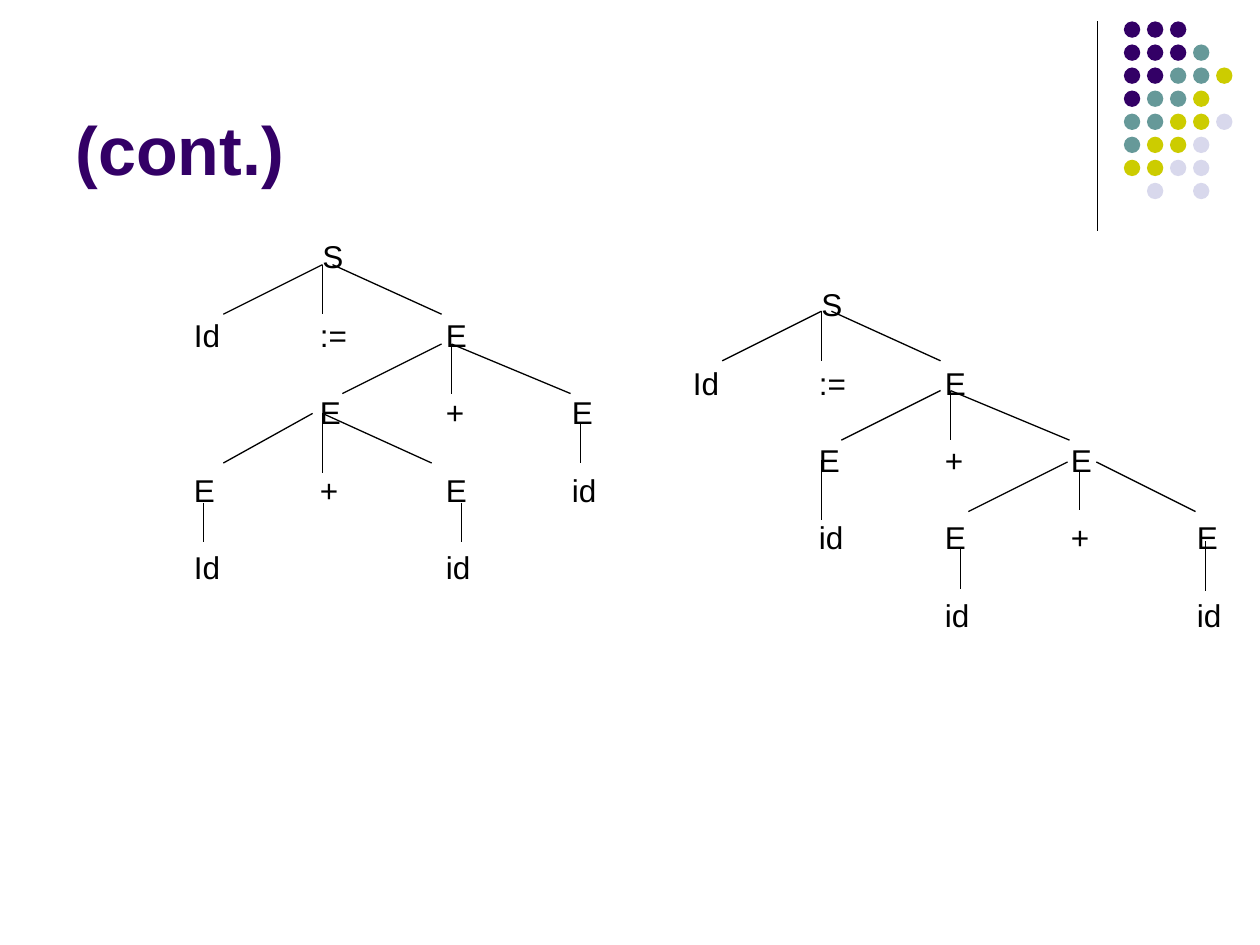
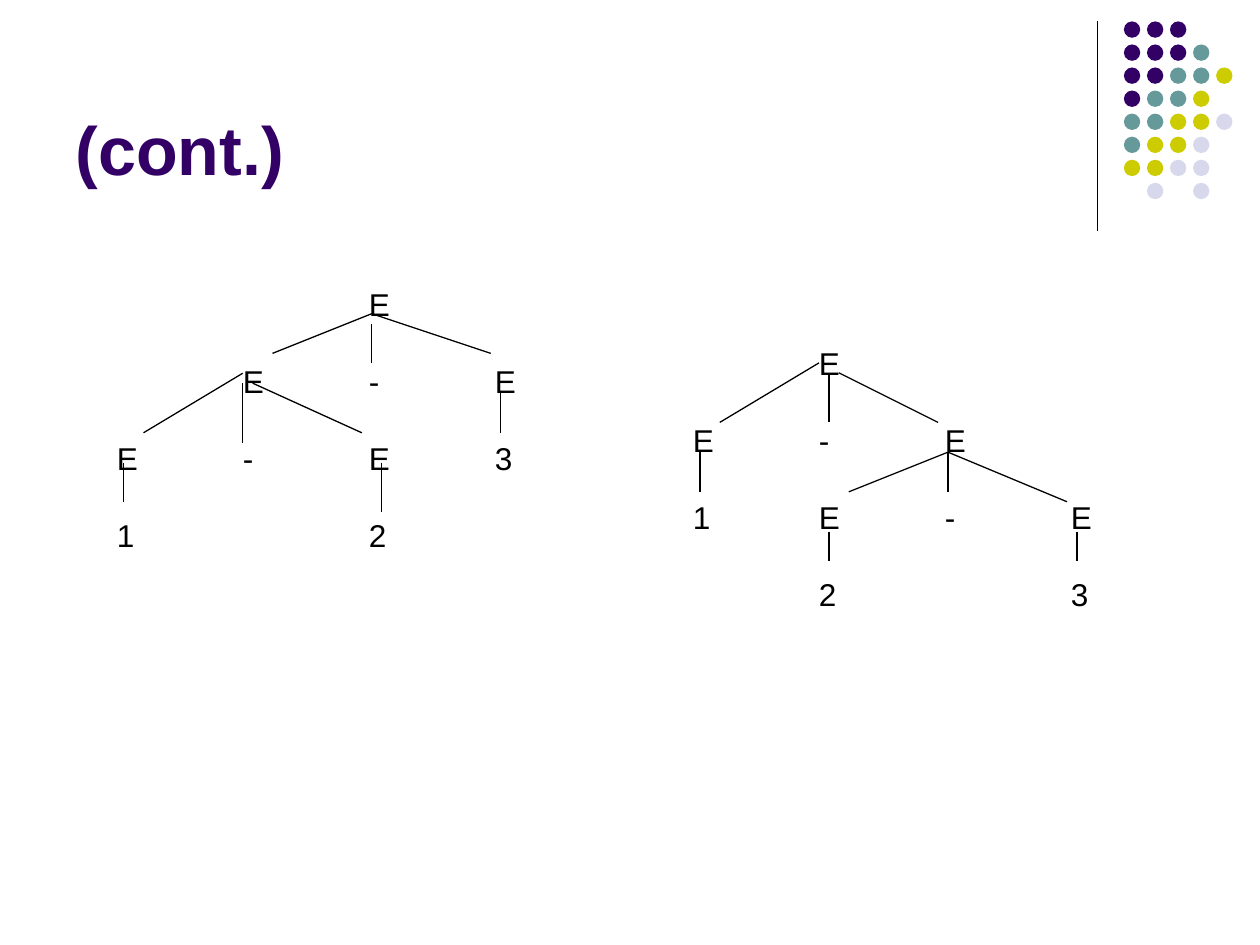
from lxml.etree import SubElement
from pptx import Presentation
from pptx.dml.color import RGBColor
from pptx.enum.shapes import MSO_CONNECTOR, MSO_SHAPE
from pptx.enum.text import MSO_ANCHOR, MSO_AUTO_SIZE, PP_ALIGN
from pptx.oxml.ns import qn
from pptx.util import Inches, Pt

# Shared look
FONT = "Arial"
BLACK = "000000"
PURPLE = "330066"
DOT_COLOURS = {"P": PURPLE, "T": "669999", "Y": "CCCC00", "L": "D8D8EC"}
DOT_ROWS = ["PPP", "PPPT", "PPTTY", "PTTY", "TTYYL", "TYYL", "YYLL", " L L"]
DOT_SIZE, DOT_PITCH = Inches(0.13), Inches(0.183)

# The slide is 127 steps wide; tree branches lie on this grid
SLIDE_WIDTH, SLIDE_HEIGHT = Inches(10), Inches(7.5)
STEP = SLIDE_WIDTH / 127
TAB_COLUMN = SLIDE_WIDTH // 10
ROW_GAP = 22.5

# Branches: (start, [ends]) in steps from the tree's root
ASSIGNMENT_BRANCHES = [
    ((0, 0), [(-10, 5), (0, 5)]),
    ((1, 0), [(12, 5)]),
    ((12, 8), [(2, 13)]),
    ((13, 8), [(13, 13), (25, 13)]),
    ((14, 24), [(14, 28)]),
    ((26, 16), [(26, 20)]),
]
LEFT_SUM_BRANCHES = ASSIGNMENT_BRANCHES + [
    ((-1, 15), [(-10, 20)]),
    ((0, 15), [(0, 21), (11, 20)]),
    ((-12, 24), [(-12, 28)]),
]
RIGHT_SUM_BRANCHES = ASSIGNMENT_BRANCHES + [
    ((0, 15), [(0, 21)]),
    ((24.8, 15.2), [(14.8, 20.2)]),
    ((27.7, 15.2), [(37.7, 20.2)]),
    ((38.7, 23.2), [(38.7, 28.2)]),
]
LEFT_MINUS_BRANCHES = [
    ((0, 0), [(-10, 4), (12, 4)]),
    ((0, 1), [(0, 5)]),
    ((-13, 6), [(-23, 12)]),
    ((-13, 7), [(-13, 13)]),
    ((-12, 7), [(-1, 12)]),
    ((13, 8), [(13, 12)]),
    ((-25, 15), [(-25, 19)]),
    ((1, 15), [(1, 20)]),
]
RIGHT_MINUS_BRANCHES = [
    ((0, 0), [(-10, 6)]),
    ((1, 1), [(1, 6)]),
    ((2, 1), [(12, 6)]),
    ((-12, 9), [(-12, 13)]),
    ((13, 9), [(3, 13), (13, 13), (25, 14)]),
    ((1, 17), [(1, 20)]),
    ((26, 17), [(26, 20)]),
]


def colour(hex_string):
    return RGBColor.from_string(hex_string)


def format_text(para, size, hex_string, bold=False):
    for span in para.runs:
        span.font.name = FONT
        span.font.size = Pt(size)
        span.font.bold = bold
        span.font.color.rgb = colour(hex_string)


def add_line(shapes, start, end):
    line = shapes.add_connector(MSO_CONNECTOR.STRAIGHT, *map(int, start + end))
    line.line.color.rgb = colour(BLACK)
    line.line.width = Pt(0.75)
    SubElement(line.element.spPr, qn("a:effectLst"))


def add_dot(shapes, column, row, hex_string):
    dot = shapes.add_shape(
        MSO_SHAPE.OVAL,
        Inches(8.92) + column * DOT_PITCH, Inches(0.17) + row * DOT_PITCH,
        DOT_SIZE, DOT_SIZE)
    dot.shadow.inherit = False
    dot.fill.solid()
    dot.fill.fore_color.rgb = colour(hex_string)
    dot.line.fill.background()


def prepare_layout(layout):
    """Keep only the title and move it to its place."""
    for holder in list(layout.placeholders):
        if holder.placeholder_format.idx != 0:
            holder.element.getparent().remove(holder.element)
            continue
        holder.left, holder.top = Inches(0.5), Inches(0.13)
        holder.width, holder.height = Inches(8.25), Inches(1.42)


def add_corner_ornament(page, layout):
    """Draw the rule and dots once, then hand them to the layout."""
    ornament = page.shapes.add_group_shape()
    add_line(ornament.shapes, (Inches(8.71), Inches(0.17)),
             (Inches(8.71), Inches(1.83)))
    for row, letters in enumerate(DOT_ROWS):
        for column, letter in enumerate(letters):
            if letter in DOT_COLOURS:
                add_dot(ornament.shapes, column, row, DOT_COLOURS[letter])
    layout.shapes.element.append(ornament.element)


def set_title(page, text):
    frame = page.shapes.title.text_frame
    frame.text = text
    frame.auto_size = MSO_AUTO_SIZE.NONE
    frame.vertical_anchor = MSO_ANCHOR.BOTTOM
    para = frame.paragraphs[0]
    para.alignment = PP_ALIGN.LEFT
    format_text(para, 39, PURPLE, bold=True)


def add_node_rows(page, left, top, width, height, rows):
    """Write the nodes of a tree, one level a paragraph, on tab columns."""
    box = page.shapes.add_textbox(*map(Inches, (left, top, width, height)))
    frame = box.text_frame
    frame.word_wrap = True
    frame.margin_top = Inches(0.08)
    frame.margin_right = 0
    frame.text = "\n".join(rows)
    for index, para in enumerate(frame.paragraphs):
        para.space_before = Pt(ROW_GAP if index else 0)
        format_text(para, 18, BLACK)
        properties = para._p.get_or_add_pPr()
        stops = SubElement(properties, qn("a:tabLst"))
        for column in range(1, 8):
            SubElement(stops, qn("a:tab"), pos=str(column * TAB_COLUMN), algn="l")


def add_branches(page, root_left, root_top, branches):
    def place(point):
        return (Inches(root_left) + point[0] * STEP,
                Inches(root_top) + point[1] * STEP)

    for start, ends in branches:
        for end in ends:
            add_line(page.shapes, place(start), place(end))


def main():
    deck = Presentation()
    deck.slide_width, deck.slide_height = SLIDE_WIDTH, SLIDE_HEIGHT
    layout = deck.slide_layouts[5]
    prepare_layout(layout)
    sum_page, minus_page = [deck.slides.add_slide(layout) for _ in range(2)]
    add_corner_ornament(sum_page, layout)
    for page in (sum_page, minus_page):
        set_title(page, "(cont.)")

    # Two parse trees of a sum
    add_node_rows(sum_page, 2.46, 1.8, 0.36, 0.4, ["S"])
    add_node_rows(sum_page, 1.44, 2.43, 3.39, 2.2,
                  ["Id\t:=\tE", "\tE\t+\tE", "E\t+\tE\tid", "Id\t\tid"])
    add_branches(sum_page, 2.56, 2.1, LEFT_SUM_BRANCHES)
    add_node_rows(sum_page, 6.42, 2.18, 0.36, 0.4, ["S"])
    add_node_rows(sum_page, 5.4, 2.81, 4.39, 2.2,
                  ["Id\t:=\tE", "\tE\t+\tE", "\tid\tE\t+\tE", "\t\tid\t\tid"])
    add_branches(sum_page, 6.52, 2.47, RIGHT_SUM_BRANCHES)

    # Two parse trees of a subtraction
    add_node_rows(minus_page, 0.83, 2.18, 3.36, 2.2,
                  ["\t\tE", "\tE\t-\tE", "E\t-\tE\t3", "1\t\t2"])
    add_branches(minus_page, 2.95, 2.49, LEFT_MINUS_BRANCHES)
    add_node_rows(minus_page, 5.4, 2.65, 3.36, 2.5,
                  ["\tE", "E\t-\tE", "1\tE\t-\tE", "\t2\t\t3"])
    add_branches(minus_page, 6.5, 2.88, RIGHT_MINUS_BRANCHES)

    deck.save("out.pptx")


if __name__ == "__main__":
    main()
